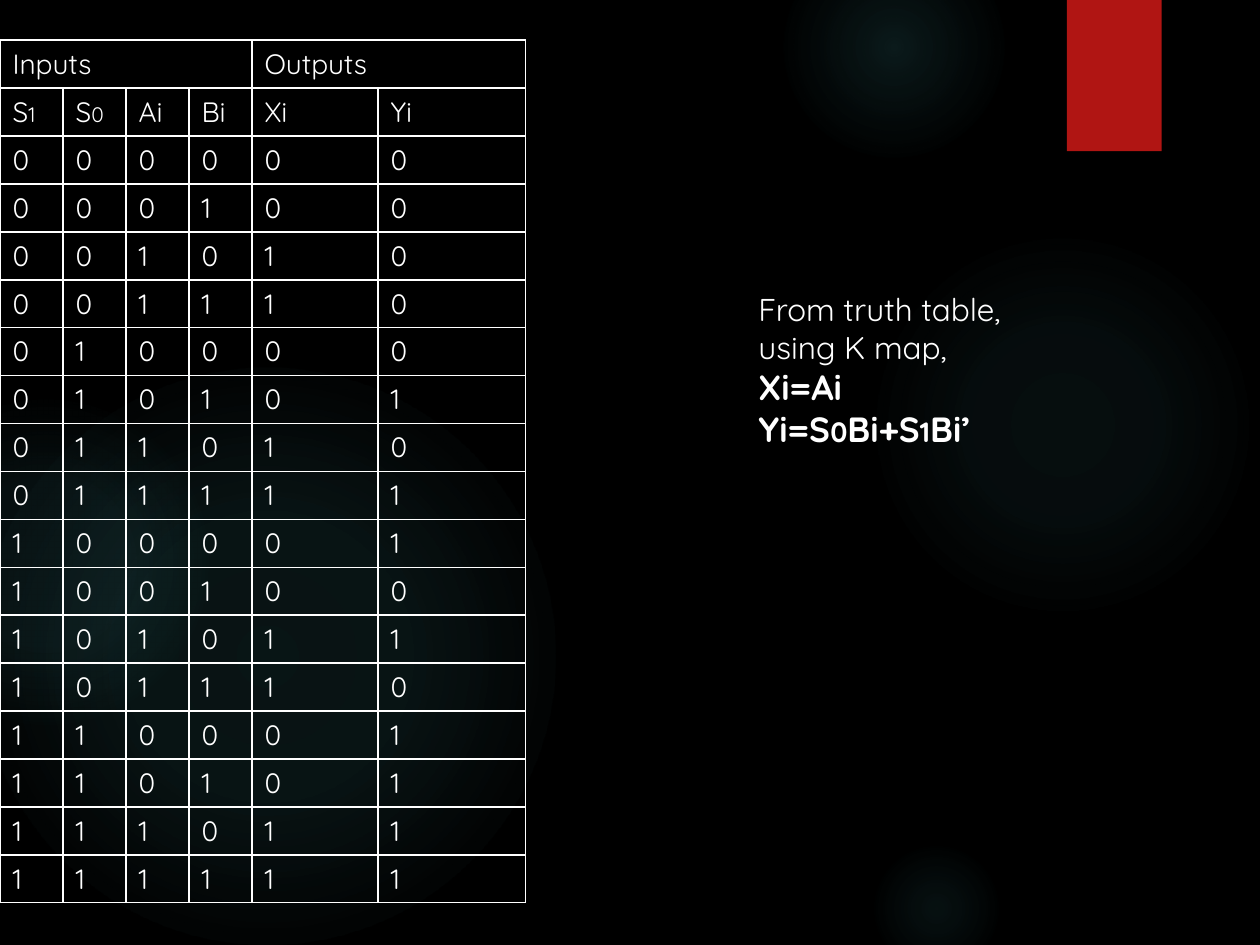
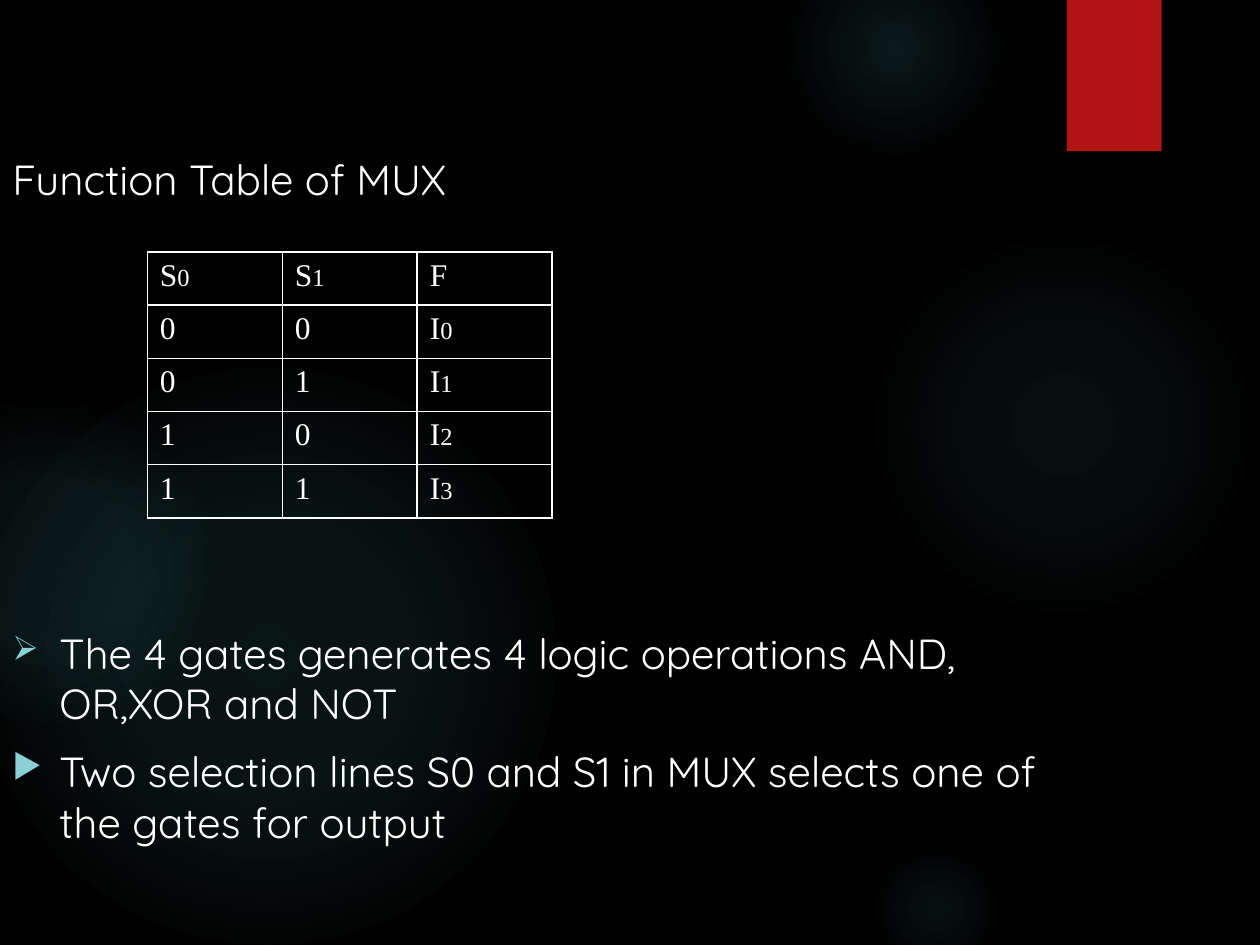
import itertools

import lxml.etree
import pptx
import pptx.dml.color
import pptx.enum.shapes
import pptx.oxml
import pptx.oxml.ns
import pptx.util

Cm, Pt = pptx.util.Cm, pptx.util.Pt
RGB = pptx.dml.color.RGBColor
SHAPE = pptx.enum.shapes.MSO_SHAPE
qn = pptx.oxml.ns.qn

BLACK = RGB(0x00, 0x00, 0x00)
WHITE = RGB(0xFF, 0xFF, 0xFF)
RED = RGB(0xB0, 0x15, 0x13)
GLOW = RGB(0x50, 0xB9, 0xC1)
BULLET = RGB(0x8A, 0xD0, 0xD6)
FONT, SERIF = "Quicksand", "Times New Roman"

# An underscore makes the next character a small index.
INPUTS = ["S_1", "S_0", "Ai", "Bi"]
OUTPUTS = ["Xi", "Yi"]
TRUTH_COLS = [1.27, 1.27, 1.27, 1.27, 2.54, 2.97]
EQUATIONS = [("From truth table, using K map,", 18, False),
             ("Xi=Ai", 20, True),
             ("Yi=S_0Bi+S_1Bi’", 20, True)]

MUX_TITLE = "Function Table of MUX"
MUX_ROWS = [["S_0", "S_1", "F"],
            ["0", "0", "I_0"],
            ["0", "1", "I_1"],
            ["1", "0", "I_2"],
            ["1", "1", "I_3"]]
MUX_BULLETS = [("➢", "The 4 gates generates 4 logic operations AND, OR,XOR and NOT"),
               ("▶", "Two selection lines S0 and S1 in MUX selects one of the gates for output")]

# left, top, diameter (cm), then gradient stops as (position %, opacity %)
GLOWS = [(17.5, 4.65, 7.82, [(0, 7), (36, 6), (69, 0)]),
         (15.8, -1.27, 4.45, [(0, 14), (36, 7), (73, 0)]),
         (17.5, 16.94, 2.74, [(0, 9), (36, 5), (66, 0)]),
         (-0.43, 7.42, 11.63, [(0, 11), (36, 10), (75, 0)]),
         (-2.34, 8.05, 6.55, [(0, 8), (36, 8), (72, 0)])]


def xml(markup):
    head, tail = markup.split(">", 1) if "/>" not in markup.split(">")[0] + ">" else (markup[:-2], None)
    declared = f"{head} {pptx.oxml.ns.nsdecls('a')}"
    return pptx.oxml.parse_xml(declared + ("/>" if tail is None else ">" + tail))


def add_glow(s, left, top, size, stops):
    sp = s.shapes.add_shape(SHAPE.OVAL, Cm(left), Cm(top), Cm(size), Cm(size))
    gs = "".join(f'<a:gs pos="{pos * 1000}"><a:srgbClr val="{GLOW}">'
                 f'<a:alpha val="{alpha * 1000}"/></a:srgbClr></a:gs>' for pos, alpha in stops)
    centre = 'l="50000" t="50000" r="50000" b="50000"'
    sp.line.fill.background()
    sp.shadow.inherit = False
    geometry = sp.element.spPr.find(qn("a:prstGeom"))
    geometry.addnext(xml(f'<a:gradFill><a:gsLst>{gs}</a:gsLst><a:path path="circle">'
                         f'<a:fillToRect {centre}/></a:path></a:gradFill>'))


def add_slide(prs):
    """Add a blank slide with the black ground, the glows and the red tab."""
    s = prs.slides.add_slide(prs.slide_layouts[6])
    s.background.fill.solid()
    s.background.fill.fore_color.rgb = BLACK
    for glow in GLOWS:
        add_glow(s, *glow)
    tab = s.shapes.add_shape(SHAPE.RECTANGLE, Cm(21.51), 0, Cm(1.91), Cm(3.05))
    tab.fill.solid()
    tab.fill.fore_color.rgb = RED
    tab.line.fill.background()
    tab.shadow.inherit = False
    tab.element.spPr.find(qn("a:effectLst")).append(xml(
        f'<a:outerShdw blurRad="{Pt(3)}" dist="{Pt(2)}" dir="5400000">'
        f'<a:srgbClr val="{BLACK}"><a:alpha val="45000"/></a:srgbClr></a:outerShdw>'))
    return s


def write(p, text, size, font=FONT, bold=False):
    """Fill a paragraph, setting each index 4 points smaller."""
    first, *rest = text.split("_")
    pieces = [(first, size)]
    for part in rest:
        pieces += [(part[0], size - 4), (part[1:], size)]
    for piece, points in pieces:
        if piece:
            r = p.add_run()
            r.text = piece
            r.font.size, r.font.name, r.font.bold = Pt(points), font, bold
            r.font.color.rgb = WHITE


def add_text_box(s, left, top, width, height):
    tf = s.shapes.add_textbox(Cm(left), Cm(top), Cm(width), Cm(height)).text_frame
    tf.word_wrap = True
    return tf


def add_grid(s, rows, left, top, widths, height, size, font):
    """Add an unfilled table with thin white borders."""
    table = s.shapes.add_table(len(rows), len(widths), Cm(left), Cm(top),
                               Cm(sum(widths)), Cm(height)).table
    table.first_row = table.horz_banding = False
    for column, width in zip(table.columns, widths):
        column.width = Cm(width)
    for i, row in enumerate(rows):
        for j, text in enumerate(row):
            cell = table.cell(i, j)
            write(cell.text_frame.paragraphs[0], text, size, font)
            cell.fill.background()
            tcPr = cell._tc.get_or_add_tcPr()
            for k, side in enumerate("LRTB"):
                tcPr.insert(k, xml(f'<a:ln{side} w="{Pt(1)}"><a:solidFill>'
                                   f'<a:srgbClr val="{WHITE}"/></a:solidFill></a:ln{side}>'))
    return table


def truth_rows():
    rows = [["Inputs", "", "", "", "Outputs", ""], INPUTS + OUTPUTS]
    for s1, s0, a, b in itertools.product((0, 1), repeat=4):
        y = (s0 & b) | (s1 & (1 - b))
        rows.append([str(bit) for bit in (s1, s0, a, b, a, y)])
    return rows


def truth_slide(prs):
    s = add_slide(prs)
    table = add_grid(s, truth_rows(), 0, 0.81, TRUTH_COLS, 17.4, 16, FONT)
    split = len(INPUTS)
    table.cell(0, 0).merge(table.cell(0, split - 1))
    table.cell(0, split).merge(table.cell(0, len(TRUTH_COLS) - 1))
    tf = add_text_box(s, 15.04, 5.72, 6.15, 3.5)
    for i, (text, size, bold) in enumerate(EQUATIONS):
        p = tf.add_paragraph() if i else tf.paragraphs[0]
        write(p, text, size, bold=bold)


def mux_slide(prs):
    s = add_slide(prs)
    tf = add_text_box(s, 0, 2.97, 22.23, 13.77)
    write(tf.paragraphs[0], MUX_TITLE, 24)
    for i, (mark, text) in enumerate(MUX_BULLETS):
        p = tf.add_paragraph()
        write(p, text, 24)
        p.space_before = Pt(10 if i else 242)  # the first gap holds the table
        pPr = p._p.get_or_add_pPr()
        pPr.set("marL", str(Cm(0.95)))
        pPr.set("indent", str(-Cm(0.95)))
        pPr.append(xml(f'<a:buClr><a:srgbClr val="{BULLET}"/></a:buClr>'))
        pPr.append(xml('<a:buSzPct val="80000"/>'))
        pPr.append(xml(f'<a:buChar char="{mark}"/>'))
    add_grid(s, MUX_ROWS, 2.97, 5.08, [2.72] * 3, 5.36, 18, SERIF)


def main():
    prs = pptx.Presentation()
    prs.slide_width, prs.slide_height = Cm(25.4), Cm(19.05)
    truth_slide(prs)
    mux_slide(prs)
    prs.save("out.pptx")


if __name__ == "__main__":
    main()
